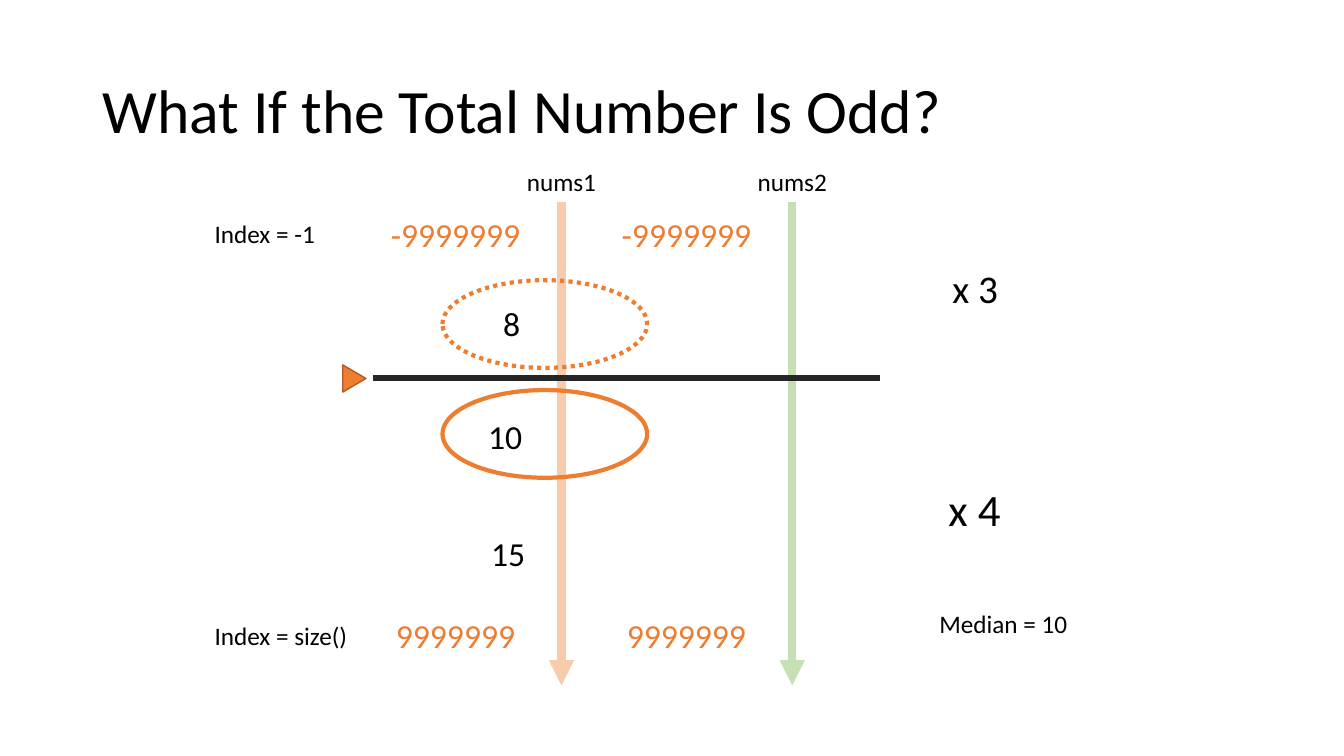
"""Builds the slide on finding the median when the total number is odd."""
from lxml.etree import SubElement
from pptx import Presentation
from pptx.dml.color import RGBColor as Rgb
from pptx.enum.dml import MSO_LINE_DASH_STYLE as Dash
from pptx.enum.shapes import MSO_CONNECTOR as Connector, MSO_SHAPE as Preset
from pptx.enum.text import MSO_ANCHOR as Anchor, MSO_AUTO_SIZE as AutoSize, PP_ALIGN as Align
from pptx.oxml.ns import qn
from pptx.util import Inches, Pt

COLORS = {
    "ink": "000000", "divider": "262626", "orange": "ED7D31", "rust": "AF5C24",
    "peach": "F8CBAD", "mint": "C5E0B4",
}
COLUMNS, ROWS = 133.33, 75


def apply(target, values):
    """Set each named attribute on the target."""
    for name, value in values.items():
        setattr(target, name, value)


class Canvas:
    """Holds the style and the slide, and draws elements on a grid of columns and rows."""

    font = "Calibri"

    def __init__(self, presentation):
        """Add a blank slide and work out the grid cell."""
        self.slide = presentation.slides.add_slide(presentation.slide_layouts[6])
        self.column = presentation.slide_width / COLUMNS
        self.row = presentation.slide_height / ROWS

    def place(self, x, y):
        """Turn a column and a row into slide lengths."""
        return round(x * self.column), round(y * self.row)

    def color(self, name):
        """Look up a colour by name."""
        return Rgb.from_string(COLORS[name])

    def text(self, words, box, size=18, color="ink", align=Align.LEFT, frame=None, **paragraph_format):
        """Write one line of text in a box."""
        shape = self.slide.shapes.add_textbox(*self.place(*box[:2]), *self.place(*box[2:]))
        apply(shape.text_frame, frame or {"word_wrap": False, "auto_size": AutoSize.SHAPE_TO_FIT_TEXT})
        paragraph = shape.text_frame.paragraphs[0]
        apply(paragraph, {"alignment": align, **paragraph_format})
        run = paragraph.add_run()
        run.text = words
        apply(run.font, {"name": self.font, "size": Pt(size)})
        run.font.color.rgb = self.color(color)

    def outline(self, line, color, width):
        """Colour a line and set its width."""
        line.color.rgb = self.color(color)
        line.width = Pt(width)

    def line(self, start, end, color, width, arrow=False):
        """Draw a straight line, with an arrowhead at its end if asked."""
        connector = self.slide.shapes.add_connector(
            Connector.STRAIGHT, *self.place(*start), *self.place(*end))
        self.outline(connector.line, color, width)
        if arrow:
            SubElement(connector.line._get_or_add_ln(), qn("a:tailEnd"), type="triangle")
        SubElement(connector._element.spPr, qn("a:effectLst"))

    def shape(self, preset, box, color, width, fill=None, dash=None, rotation=0):
        """Draw a preset shape, hollow unless a fill is given."""
        shape = self.slide.shapes.add_shape(preset, *self.place(*box[:2]), *self.place(*box[2:]))
        shape.shadow.inherit = False
        shape.rotation = rotation
        if fill:
            shape.fill.solid()
            shape.fill.fore_color.rgb = self.color(fill)
        else:
            shape.fill.background()
        self.outline(shape.line, color, width)
        if dash:
            shape.line.dash_style = dash


def main():
    """Build and save the slide."""
    presentation = Presentation()
    apply(presentation, {"slide_width": Inches(13.33), "slide_height": Inches(7.5)})
    canvas = Canvas(presentation)

    canvas.text("What If the Total Number Is Odd?", (9.2, 4, 115, 14.5), 44, line_spacing=0.9,
                frame={"word_wrap": True, "vertical_anchor": Anchor.MIDDLE})

    arrays = [("nums1", "peach", 55.7), ("nums2", "mint", 78.6)]
    for name, color, axis in arrays:
        canvas.line((axis, 20), (axis, 68), color, 6, arrow=True)
        canvas.text(name, (axis - 4.5, 16, 9, 4), align=Align.CENTER)
        for sentinel, top, width in [("-9999999", 20.7, 15), ("9999999", 60.5, 13.9)]:
            canvas.text(sentinel, (axis - 10.5 - width / 2, top, width, 5), 24, "orange", Align.CENTER)

    for value, box in [("8", (48.9, 29.6, 3.7, 5)), ("10", (47.4, 40.8, 5.4, 5)),
                       ("15", (47.7, 52.4, 5.4, 5))]:
        canvas.text(value, box, 24, align=Align.CENTER)

    canvas.shape(Preset.ISOSCELES_TRIANGLE, (33.8, 36.4, 2.7, 2.3), "rust", 1, fill="orange", rotation=90)
    canvas.line((37, 37.5), (87.3, 37.5), "divider", 4.5)

    for words, box, size in [
        ("Index = -1", (20.3, 21.2, 12.1, 4), 18),
        ("Index = size()", (20.3, 61, 15.4, 4), 18),
        ("x 3", (93.5, 25.7, 6.6, 5.7), 28),
        ("x 4", (93.1, 47.3, 7.3, 6.4), 32),
        ("Median = 10", (92.2, 59.9, 14.9, 4), 18),
    ]:
        canvas.text(words, box, size)

    for top, dash in [(38.7, None), (27.8, Dash.ROUND_DOT)]:
        canvas.shape(Preset.OVAL, (43.9, top, 20.3, 8.7), "orange", 3, dash=dash)

    presentation.save("out.pptx")


if __name__ == "__main__":
    main()
